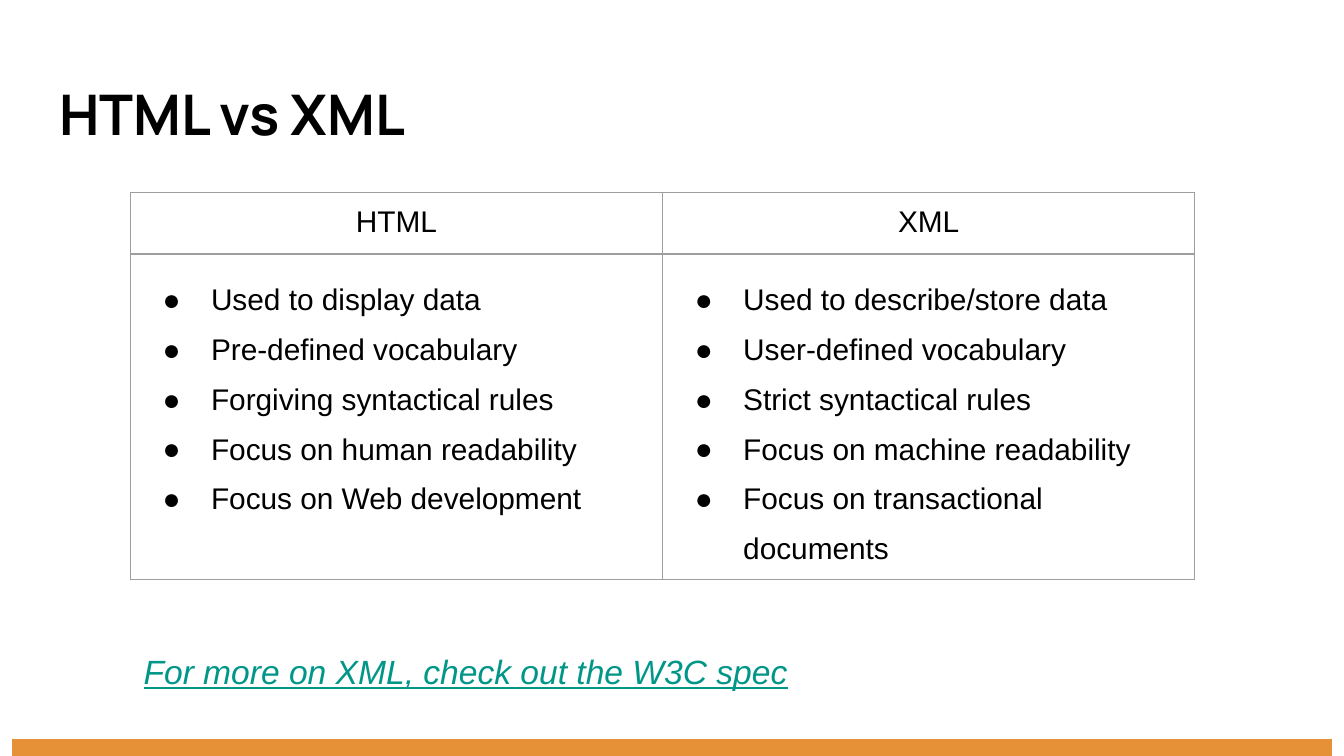
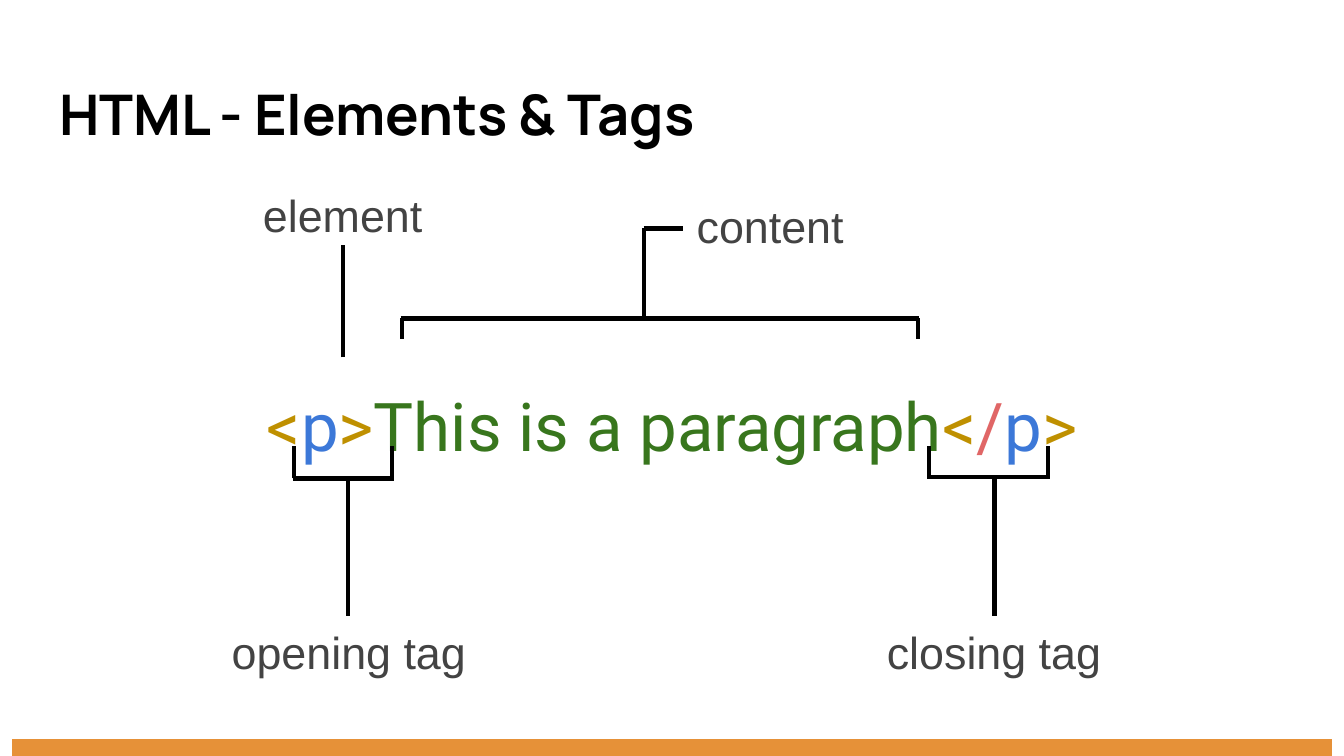
from lxml import etree
from pptx import Presentation
from pptx.dml.color import RGBColor
from pptx.enum import shapes, text
from pptx.oxml import ns
from pptx.util import Pt

PX = 9144  # 100 px to the inch

BLACK = RGBColor(0x00, 0x00, 0x00)
GRAY = RGBColor(0x43, 0x43, 0x43)
ORANGE = RGBColor(0xE6, 0x91, 0x38)
TEAL = RGBColor(0x00, 0x96, 0x88)
GOLD = RGBColor(0xBF, 0x90, 0x00)
BLUE = RGBColor(0x3C, 0x78, 0xD8)
GREEN = RGBColor(0x38, 0x76, 0x1D)
RED = RGBColor(0xE0, 0x66, 0x66)
BORDER = RGBColor(0x9E, 0x9E, 0x9E)

CENTER = text.PP_ALIGN.CENTER

# Content
COMPARISON = {
    "HTML": ["Used to display data", "Pre-defined vocabulary",
             "Forgiving syntactical rules", "Focus on human readability",
             "Focus on Web development"],
    "XML": ["Used to describe/store data", "User-defined vocabulary",
            "Strict syntactical rules", "Focus on machine readability",
            "Focus on transactional documents"],
}
SPEC_NOTE = "For more on XML, check out the W3C spec"

MARKUP = [("<", GOLD), ("p", BLUE), (">", GOLD), ("This is a paragraph", GREEN),
          ("<", GOLD), ("/", RED), ("p", BLUE), (">", GOLD)]
LABELS = [  # text, left, top, width
    ("element", 173, 130, 164),
    ("content", 507, 138, 132),
    ("opening tag", 160, 455, 199),
    ("closing tag", 647, 455, 185),
]
BRACKETS = [  # left, right, bar y, tick end y, stem x, stem end y
    (219, 292, 356, 332, 259, 458),
    (691, 780, 355, 332, 740, 458),
    (299, 683, 237, 252, 479, 170),
]
LEADERS = [(255, 266, 255, 182), (479, 170, 508, 170)]

# Geometry
SLIDE_WIDTH = 1000
BAND = (9, 550, 982, 13)
TITLE = (34, 49, 932, 68)
TABLE = (97, 143, 792, 288)
ROW_HEIGHTS = (46, 242)
NOTE = (97, 474, 765, 55)
MARKUP_BOX = (34, 273, 932, 77)
LABEL_HEIGHT = 64
INSET = 10


def px(*lengths):
    return [length * PX for length in lengths]


def write(frame, content, size=16, font="Arial", color=BLACK, bold=False,
          italic=False, underline=False, align=text.PP_ALIGN.LEFT, spacing=1.0,
          after=0, bullet=None):
    """Fill a frame; each paragraph is a string or a list of (text, colour)."""
    frame.word_wrap = True
    for index, line in enumerate(content if isinstance(content, list) else [content]):
        paragraph = frame.paragraphs[0] if index == 0 else frame.add_paragraph()
        paragraph.alignment = align
        paragraph.line_spacing = spacing
        paragraph.space_before, paragraph.space_after = Pt(0), Pt(after)
        properties = paragraph._p.get_or_add_pPr()
        margin, indent = px(50, -36) if bullet else (0, 0)
        properties.set("marL", str(margin))
        properties.set("indent", str(indent))
        if bullet:
            etree.SubElement(properties, ns.qn("a:buFont")).set("typeface", font)
            etree.SubElement(properties, ns.qn("a:buChar")).set("char", bullet)
        else:
            etree.SubElement(properties, ns.qn("a:buNone"))
        for words, run_color in [(line, color)] if isinstance(line, str) else line:
            run = paragraph.add_run()
            run.text = words
            run.font.size, run.font.name = Pt(size), font
            run.font.bold, run.font.italic = bold, italic
            run.font.color.rgb = run_color
            if underline:
                run.font.underline = True
                fill = run._r.rPr.find(ns.qn("a:solidFill"))
                fill.addnext(etree.Element(ns.qn("a:uFillTx")))


def place(shape, box, anchor=text.MSO_ANCHOR.TOP):
    """Position a text shape and give it the common insets."""
    shape.left, shape.top, shape.width, shape.height = px(*box)
    frame = shape.text_frame
    frame.auto_size = text.MSO_AUTO_SIZE.NONE
    frame.vertical_anchor = anchor
    frame.margin_left = frame.margin_right = INSET * PX
    frame.margin_top = frame.margin_bottom = INSET * PX
    return frame


def add_text(slide, box, content, **style):
    write(place(slide.shapes.add_textbox(*px(*box)), box), content, **style)


def add_line(slide, *ends):
    line = slide.shapes.add_connector(shapes.MSO_CONNECTOR.STRAIGHT, *px(*ends))
    line.line.color.rgb = BLACK
    line.line.width = Pt(2.25)
    etree.SubElement(line._element.spPr, ns.qn("a:effectLst"))


def add_bracket(slide, left, right, bar, tick_end, stem, stem_end):
    add_line(slide, left - 1, bar, right + 1, bar)
    for x in (left, right):
        add_line(slide, x, bar, x, tick_end)
    add_line(slide, stem, bar, stem, stem_end)


def set_borders(cell):
    properties = cell._tc.get_or_add_tcPr()
    for position, side in enumerate(("lnL", "lnR", "lnT", "lnB")):
        border = etree.Element(ns.qn("a:" + side), w=str(Pt(0.75)))
        fill = etree.SubElement(border, ns.qn("a:solidFill"))
        etree.SubElement(fill, ns.qn("a:srgbClr")).set("val", str(BORDER))
        properties.insert(position, border)


def add_comparison(slide):
    table = slide.shapes.add_table(2, len(COMPARISON), *px(*TABLE)).table
    table.first_row = table.horz_banding = False
    for row, height in zip(table.rows, ROW_HEIGHTS):
        row.height = height * PX
    for column, (heading, points) in enumerate(COMPARISON.items()):
        table.columns[column].width = TABLE[2] * PX // len(COMPARISON)
        header, body = table.cell(0, column), table.cell(1, column)
        for cell in (header, body):
            cell.fill.background()
            cell.margin_left = cell.margin_right = INSET * PX
            cell.margin_top = cell.margin_bottom = INSET * PX
            set_borders(cell)
        write(header.text_frame, heading, align=CENTER)
        write(body.text_frame, points, spacing=1.5, bullet="●")


def add_slide(presentation, layout, title):
    """Start a slide with the shared band and title."""
    slide = presentation.slides.add_slide(presentation.slide_layouts[layout])
    band = slide.shapes.add_shape(shapes.MSO_SHAPE.RECTANGLE, *px(*BAND))
    band.shadow.inherit = False
    band.fill.solid()
    band.fill.fore_color.rgb = ORANGE
    band.line.fill.background()
    write(place(slide.shapes.title, TITLE), title, size=30, font="Manrope", bold=True)
    return slide


def main():
    presentation = Presentation()
    presentation.slide_width = SLIDE_WIDTH * PX
    presentation.slide_height = presentation.slide_width * 9 // 16

    # Slide 1: comparison table
    slide = add_slide(presentation, 5, "HTML vs XML")
    add_comparison(slide)
    add_text(slide, NOTE, SPEC_NOTE, size=18, color=TEAL, italic=True, underline=True)

    # Slide 2: annotated element
    slide = add_slide(presentation, 1, "HTML - Elements & Tags")
    body = place(slide.placeholders[1], MARKUP_BOX, text.MSO_ANCHOR.MIDDLE)
    write(body, [MARKUP], size=36, font="Roboto", align=CENTER, spacing=1.15, after=16)
    for bracket in BRACKETS:
        add_bracket(slide, *bracket)
    for leader in LEADERS:
        add_line(slide, *leader)
    for label, left, top, width in LABELS:
        add_text(slide, (left, top, width, LABEL_HEIGHT), label,
                 size=24, color=GRAY, align=CENTER)

    presentation.save("out.pptx")


if __name__ == "__main__":
    main()
